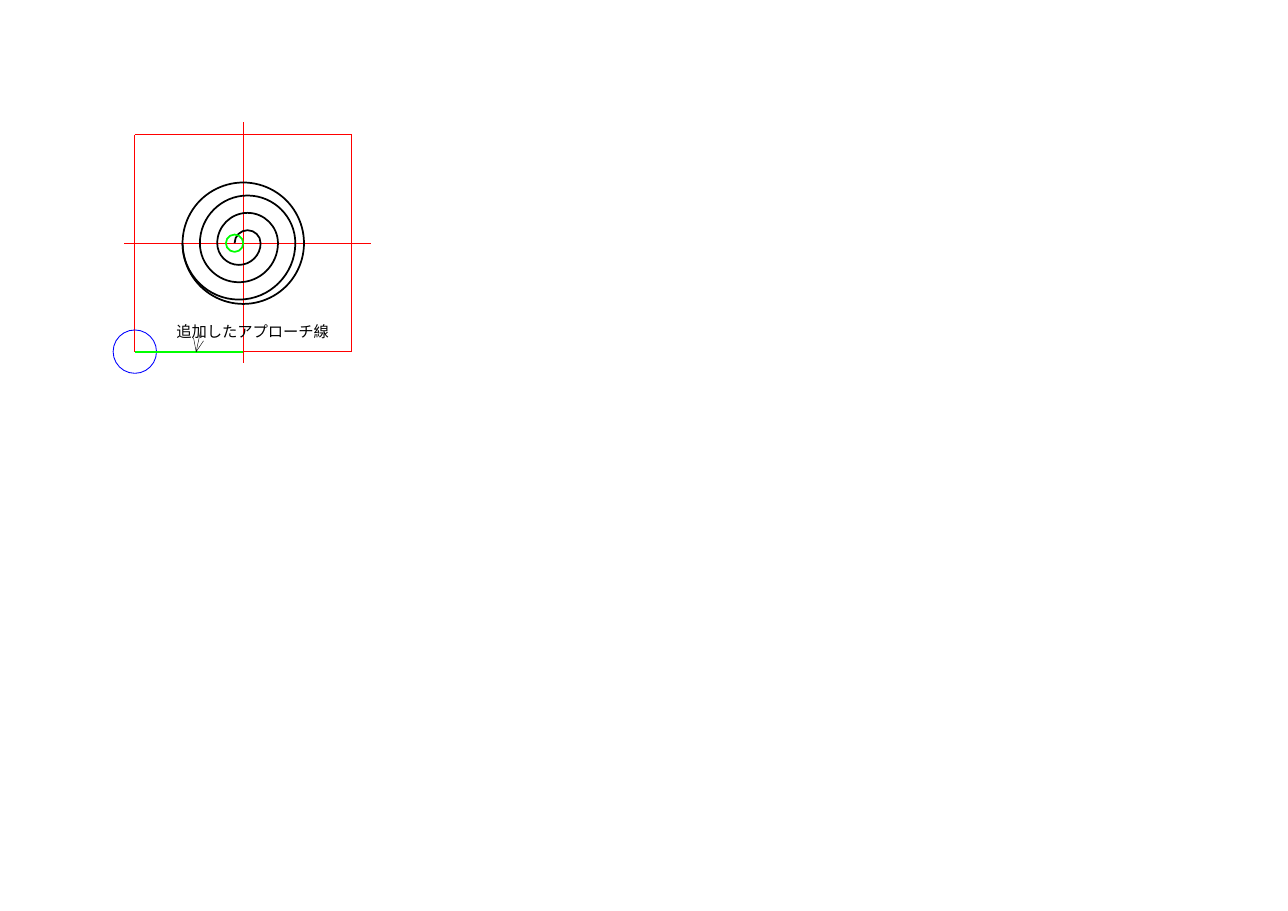
import pptx
import pptx.dml.color
import pptx.enum.shapes
import pptx.enum.text
import pptx.util
from pptx.oxml import ns

Pt = pptx.util.Pt
HUES = {"red": "FF0000", "blue": "0000FF", "green": "00FF00", "black": "000000"}
THIN, THICK, FINE = 0.57, 1.13, 0.28

deck = pptx.Presentation()
deck.slide_width, deck.slide_height = Pt(841.68), Pt(595.44)
page = deck.slides.add_slide(deck.slide_layouts[6])


def draw(kind, points, hue, width, home=page.shapes):
    """Draw a line, a ring (box corners), a path or a curve, unfilled."""
    spots = [(Pt(x), Pt(y)) for x, y in points]
    (x1, y1), (x2, y2) = spots[0], spots[-1]
    if kind == "line":
        item = home.add_connector(pptx.enum.shapes.MSO_CONNECTOR.STRAIGHT,
                                  x1, y1, x2, y2)
        props = item._element.spPr
        props.append(props.makeelement(ns.qn("a:effectLst"), {}))
    else:
        if kind == "ring":
            item = home.add_shape(pptx.enum.shapes.MSO_SHAPE.OVAL,
                                  x1, y1, x2 - x1, y2 - y1)
        else:
            build = home.build_freeform(x1, y1)
            build.add_line_segments(spots[1:], close=False)
            item = build.convert_to_shape()
        item.fill.background()
        item.shadow.inherit = False
    if kind == "curve":
        # Turn every three straight steps into one Bezier step
        steps = list(item._element.iter(ns.qn("a:lnTo")))
        for first in range(0, len(steps), 3):
            bend = steps[first].makeelement(ns.qn("a:cubicBezTo"), {})
            steps[first].addprevious(bend)
            for step in steps[first:first + 3]:
                bend.append(step[0])
                step.getparent().remove(step)
    item.line.color.rgb = pptx.dml.color.RGBColor.from_string(HUES[hue])
    item.line.width = Pt(width)


def write(text, left, top, width, height, size, font, hue, space):
    box = page.shapes.add_textbox(Pt(left), Pt(top), Pt(width), Pt(height))
    frame = box.text_frame
    frame.margin_left = frame.margin_right = 0
    frame.margin_top = frame.margin_bottom = 0
    frame.word_wrap = False
    frame.auto_size = pptx.enum.text.MSO_AUTO_SIZE.SHAPE_TO_FIT_TEXT
    para = frame.paragraphs[0]
    para.line_spacing = Pt(space)
    run = para.add_run()
    run.text = text
    run.font.size = Pt(size)
    run.font.name = font
    run.font.color.rgb = pptx.dml.color.RGBColor.from_string(HUES[hue])
    props = run._r.get_or_add_rPr()
    props.append(props.makeelement(ns.qn("a:ea"), {"typeface": font}))


# Drawing grid: one unit is a millimetre, the square is 50 units wide
unit = 2.835
mid = 159
low, high = mid - 25 * unit, mid + 25 * unit

# Square and centre lines
for ends in [
    [(low, high), (high, high)],
    [(high, low), (high, high)],
    [(low, low), (high, low)],
    [(low, low), (low, high)],
    [(81.3, mid), (242.5, mid)],
    [(mid, 79.8), (mid, 237.5)],
]:
    draw("line", ends, "red", THIN)

# Corner circle
size = 5 * unit
draw("ring", [(low - size, high - size), (low + size, high + size)], "blue", THIN)

# Spiral: half turns about two centres, each radius two units larger
bend = 0.55
half = [(-1, 0), (-1, bend), (-bend, 1), (0, 1), (bend, 1), (1, bend), (1, 0)]
for turn in range(6):
    side = 1 if turn % 2 == 0 else -1
    size = (3 + 2 * turn) * unit
    arc = [(mid + side * (unit + size * x), mid - side * size * y) for x, y in half]
    draw("curve", arc, "black", THICK)

# Rim and start of the spiral
for x, count, hue in [(mid, 14, "black"), (mid - 2 * unit, 2, "green")]:
    size = count * unit
    draw("ring", [(x - size, mid - size), (x + size, mid + size)], hue, THICK)

# Approach line with its label
draw("line", [(low, high), (mid, high)], "green", THICK)
write("追加したアプローチ線", left=115.2, top=204.5, width=108.7, height=13.7,
      size=10, font="Noto Sans CJK JP", hue="black", space=18)

# Leader with an open arrowhead
group = page.shapes.add_group_shape()
tip = (128.2, high)
draw("line", [tip, (131, 216.8)], "black", FINE, group.shapes)
draw("path", [(126.5, 221), tip, (133, 222.8)], "black", FINE, group.shapes)

deck.save("out.pptx")
